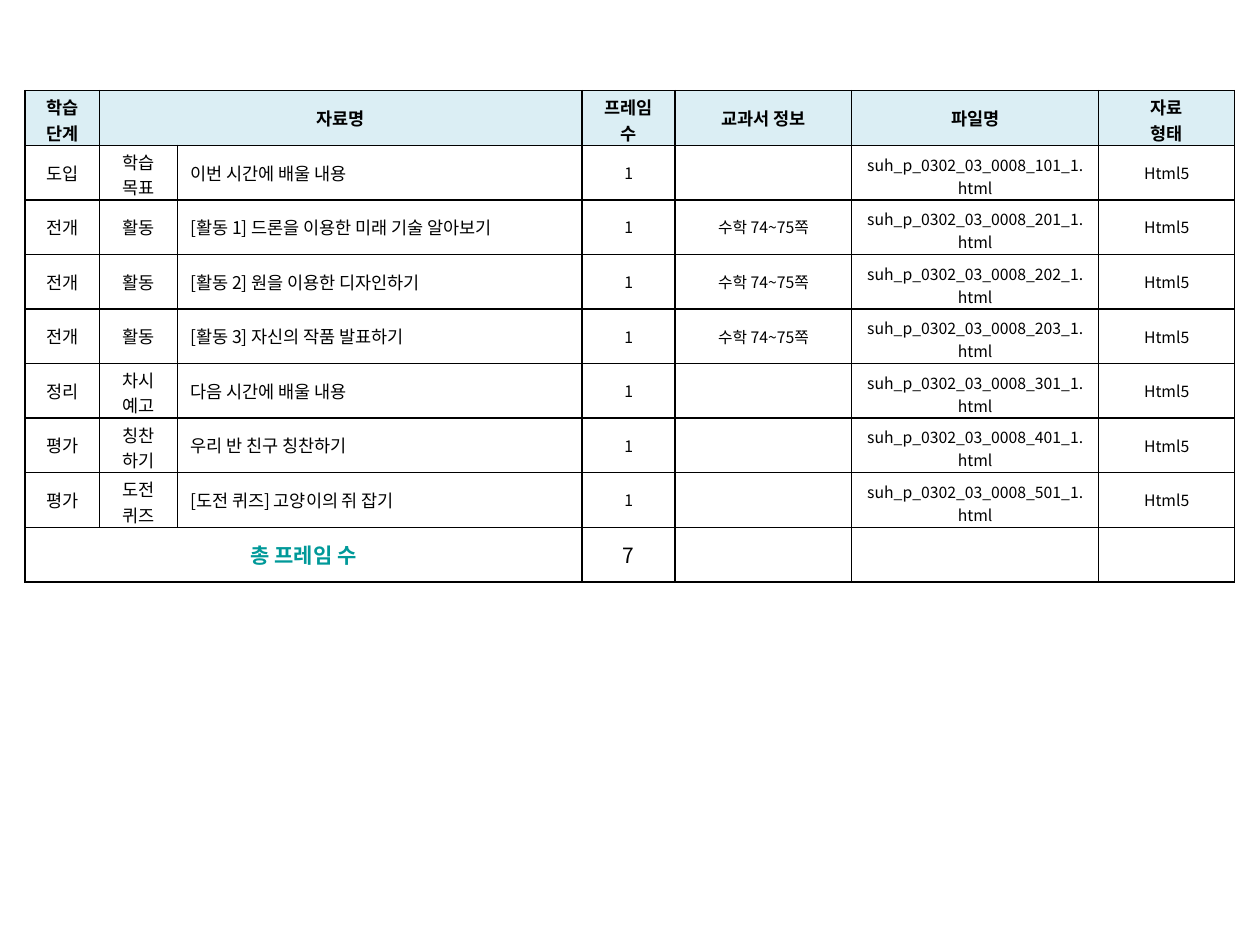
import pptx
import pptx.util
import pptx.dml.color
import pptx.enum.text
from lxml import etree
from pptx.oxml.ns import qn

FONT = "Noto Sans CJK KR"
COLUMNS = [0.59, 0.62, 3.21, 0.74, 1.4, 1.96, 1.08]
LEFT, TOP, HEIGHT = 0.2, 0.72, 3.9
STEP_COL, TITLE_COL, FILE_COL = 1, 2, 5
PAGES = "수학 74~75쪽"
HEADER = ["학습 단계", "자료명", "", "프레임 수", "교과서 정보", "파일명", "자료\n형태"]
LESSONS = [
    ("도입", "학습 목표", "이번 시간에 배울 내용", "", 101),
    ("전개", "활동", "[활동 1] 드론을 이용한 미래 기술 알아보기", PAGES, 201),
    ("전개", "활동", "[활동 2] 원을 이용한 디자인하기", PAGES, 202),
    ("전개", "활동", "[활동 3] 자신의 작품 발표하기", PAGES, 203),
    ("정리", "차시 예고", "다음 시간에 배울 내용", "", 301),
    ("평가", "칭찬\n하기", "우리 반 친구 칭찬하기", "", 401),
    ("평가", "도전\n퀴즈", "[도전 퀴즈] 고양이의 쥐 잡기", "", 501),
]
TOTAL = ["총 프레임 수", "", "", str(len(LESSONS)), "", "", ""]


def rgb(value):
    return pptx.dml.color.RGBColor.from_string(value)


def set_borders(cell, color="000000", width=1):
    tcPr = cell._tc.get_or_add_tcPr()
    for i, side in enumerate(("lnL", "lnR", "lnT", "lnB")):
        ln = etree.Element(qn("a:" + side), w=str(pptx.util.Pt(width)))
        fill = etree.SubElement(ln, qn("a:solidFill"))
        etree.SubElement(fill, qn("a:srgbClr"), val=color)
        tcPr.insert(i, ln)


def tighten(cell, top):
    """Trim the vertical margins so that two lines fit the row height."""
    cell.margin_top = pptx.util.Inches(top)
    cell.margin_bottom = 0


def set_text(cell, text, size, bold=False, color="000000"):
    cell.vertical_anchor = pptx.enum.text.MSO_ANCHOR.MIDDLE
    tf = cell.text_frame
    tf.text = text
    for p in tf.paragraphs:
        p.alignment = pptx.enum.text.PP_ALIGN.CENTER
        for r in p.runs:
            r.font.size = pptx.util.Pt(size)
            r.font.bold = bold
            r.font.name = FONT
            r.font.color.rgb = rgb(color)
            r.font._element.set("kern", "0")
            for tag in ("a:ea", "a:cs"):
                etree.SubElement(r.font._element, qn(tag), typeface=FONT)
        if not p.runs:
            # An empty cell would otherwise keep the height of 18 pt text.
            etree.SubElement(p._p, qn("a:endParaRPr"), sz=str(size * 100))


def fill_row(table, row, texts, sizes, fill=None, **style):
    for col, (text, size) in enumerate(zip(texts, sizes)):
        cell = table.cell(row, col)
        if fill:
            cell.fill.solid()
            cell.fill.fore_color.rgb = rgb(fill)
        else:
            cell.fill.background()
        set_borders(cell)
        set_text(cell, text, size, **style)


def add_lesson_table(s):
    n_rows = len(LESSONS) + 2
    frame = s.shapes.add_table(
        n_rows, len(COLUMNS), *map(pptx.util.Inches, (LEFT, TOP, sum(COLUMNS), HEIGHT)))
    table = frame.table
    table.first_row = table.horz_banding = False
    for column, width in zip(table.columns, COLUMNS):
        column.width = pptx.util.Inches(width)
    for row in table.rows:
        row.height = pptx.util.Inches(HEIGHT / n_rows)

    fill_row(table, 0, HEADER, [10] * 7, fill="DBEEF4", bold=True)
    for col in (0, 3, 6):
        tighten(table.cell(0, col), 0.03)
    for row, (stage, step, title, pages, number) in enumerate(LESSONS, 1):
        name = f"suh_p_0302_03_0008_{number}_1.html"
        fill_row(table, row, [stage, step, title, "1", pages, name, "Html5"],
                 [10] * 3 + [9] * 4)
        table.cell(row, TITLE_COL).text_frame.paragraphs[0].alignment = (
            pptx.enum.text.PP_ALIGN.LEFT)
        tighten(table.cell(row, FILE_COL), 0.05)
        if step != "활동":
            tighten(table.cell(row, STEP_COL), 0.03)
    last = n_rows - 1
    fill_row(table, last, TOTAL, [12] * 4 + [9] * 3)
    set_text(table.cell(last, 0), TOTAL[0], 12, bold=True, color="009999")

    table.cell(0, 1).merge(table.cell(0, TITLE_COL))
    table.cell(last, 0).merge(table.cell(last, TITLE_COL))


def main():
    prs = pptx.Presentation()
    prs.slide_width = pptx.util.Inches(10)
    prs.slide_height = pptx.util.Inches(7.5)
    s = prs.slides.add_slide(prs.slide_layouts[6])
    add_lesson_table(s)
    prs.save("out.pptx")


if __name__ == "__main__":
    main()
